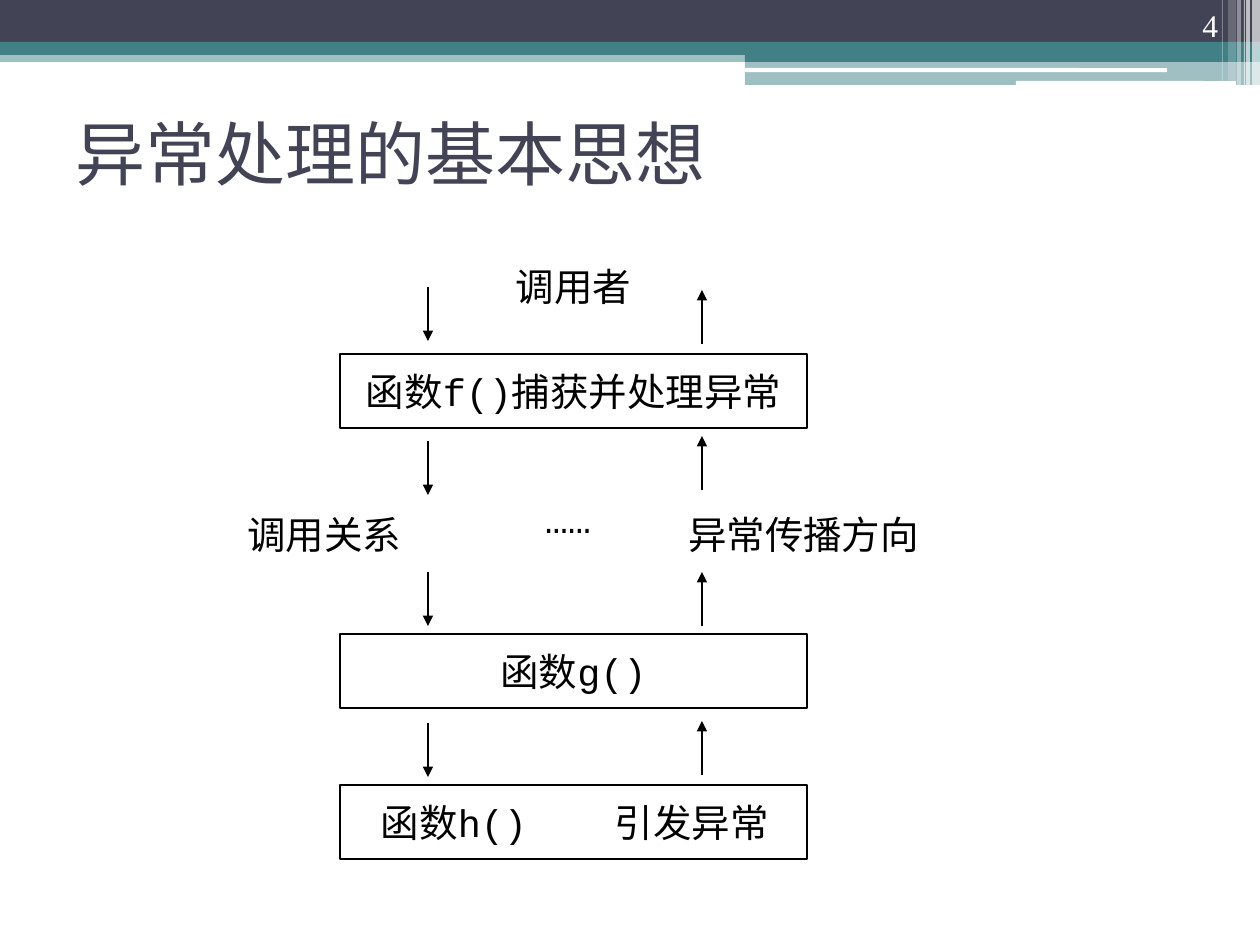
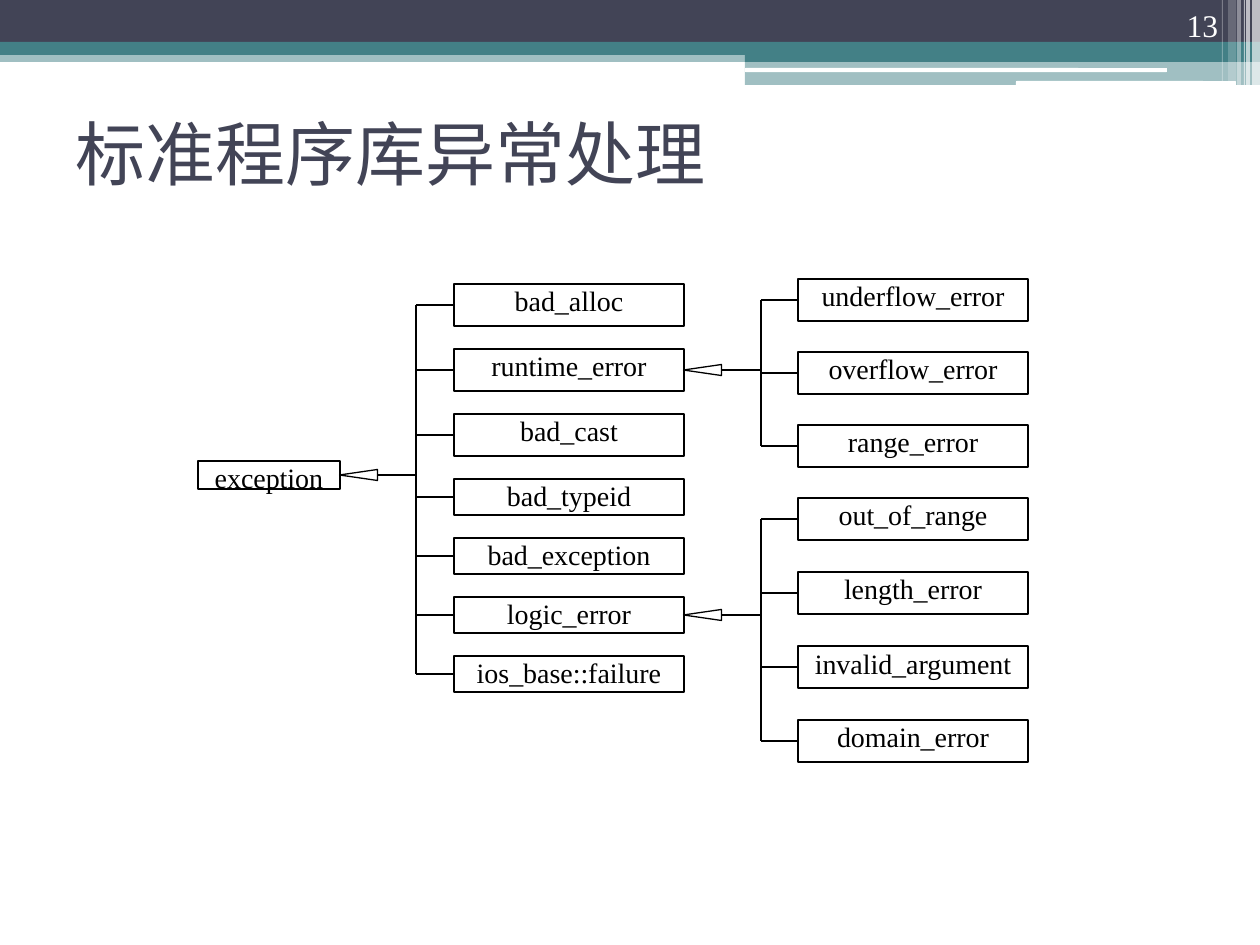
from pptx import Presentation
from pptx.dml.color import RGBColor
from pptx.enum.shapes import MSO_CONNECTOR, MSO_SHAPE
from pptx.enum.text import MSO_ANCHOR, PP_ALIGN
from pptx.oxml.ns import qn
from pptx.util import Emu, Inches, Pt
from lxml import etree

RECT, ROUND = MSO_SHAPE.RECTANGLE, MSO_SHAPE.ROUNDED_RECTANGLE
EXTRACT, LINE = MSO_SHAPE.FLOWCHART_EXTRACT, MSO_CONNECTOR.STRAIGHT
TOP, MIDDLE, BOTTOM = MSO_ANCHOR.TOP, MSO_ANCHOR.MIDDLE, MSO_ANCHOR.BOTTOM
LEFT, CENTER, RIGHT = PP_ALIGN.LEFT, PP_ALIGN.CENTER, PP_ALIGN.RIGHT

COLORS = {"navy": "424456", "teal": "438086", "white": "FFFFFF", "black": "000000"}
HEAD, CODE, BODY = "Cabin", "Courier New", "Times New Roman"
THIN = Pt(0.75)

# shape, left, top, width, height, colour, opacity in percent
BANDS = [
    (RECT, 0, 51, 1260, 11, "teal", 50),
    (RECT, 0, 0, 1260, 42, "navy", 100),
    (RECT, 0, 42, 1260, 13, "teal", 100),
    (RECT, 745, 49, 515, 13, "teal", 100),
    (RECT, 745, 62, 515, 23, "teal", 50),
    (ROUND, 745, 68, 422, 4, "white", 100),
    (ROUND, 1016, 81, 220, 5, "white", 100),
    (RECT, 1252, 0, 8, 86, "white", 65),
    (RECT, 1246, 0, 4, 86, "white", 65),
    (RECT, 1244, 0, 1, 86, "white", 60),
    (RECT, 1237, 0, 4, 86, "white", 40),
    (RECT, 1228, 0, 8, 81, "white", 20),
    (RECT, 1222, 0, 1, 81, "white", 30),
]


def px(n):
    return Emu(round(n * 914400 / 126))


def rgb(name):
    return RGBColor.from_string(COLORS[name])


def write(shape, text, size, font, color="black", align=CENTER, anchor=MIDDLE,
          pad=(0, 0, 0, 0), tab=None):
    """Fill a shape with one line of text; pad is left, top, right, bottom."""
    frame = shape.text_frame
    frame.word_wrap = True
    frame.vertical_anchor = anchor
    frame.margin_left, frame.margin_top, frame.margin_right, frame.margin_bottom = map(px, pad)
    para = frame.paragraphs[0]
    para.alignment = align
    if tab:
        stops = etree.SubElement(para._p.get_or_add_pPr(), qn("a:tabLst"))
        etree.SubElement(stops, qn("a:tab"), pos=str(px(tab)), algn="l")
    run = para.add_run()
    run.text = text
    run.font.size = Pt(size)
    run.font.name = font
    run.font.color.rgb = rgb(color)


def label(slide, at, text, size, font, **style):
    box = slide.shapes.add_textbox(*map(px, at))
    write(box, text, size, font, **style)


def outline(slide, kind, at):
    shape = slide.shapes.add_shape(kind, *map(px, at))
    shape.shadow.inherit = False
    shape.fill.background()
    shape.line.color.rgb = rgb("black")
    shape.line.width = THIN
    return shape


def line(slide, x1, y1, x2, y2, arrow=False):
    link = slide.shapes.add_connector(LINE, *map(px, (x1, y1, x2, y2)))
    link.line.color.rgb = rgb("black")
    link.line.width = THIN
    if arrow:
        etree.SubElement(link.line._get_or_add_ln(), qn("a:tailEnd"), type="triangle")
    etree.SubElement(link._element.spPr, qn("a:effectLst"))
    return link


def band(slide, kind, left, top, width, height, color, alpha):
    shape = slide.shapes.add_shape(kind, *map(px, (left, top, width, height)))
    shape.shadow.inherit = False
    shape.line.fill.background()
    shape.fill.solid()
    shape.fill.fore_color.rgb = rgb(color)
    if alpha < 100:
        tone = shape._element.spPr.find(qn("a:solidFill"))[0]
        etree.SubElement(tone, qn("a:alpha"), val=str(alpha * 1000))


def page(deck, title, number):
    slide = deck.slides.add_slide(deck.slide_layouts[6])
    for item in BANDS:
        band(slide, *item)
    label(slide, (63, 79, 1134, 147), title, 40, HEAD, color="navy",
          align=LEFT, pad=(13, 6, 13, 6))
    label(slide, (1126, 0, 105, 50), number, 18, BODY, color="white",
          align=RIGHT, anchor=BOTTOM, pad=(13, 6, 13, 6))
    return slide


def node(slide, left, mid, width, height, name):
    """Class box centred on the height mid."""
    box = outline(slide, RECT, (left, mid - height // 2, width, height))
    write(box, name, 16, BODY, anchor=TOP)
    return box


def fan(slide, tip, mid, trunk, left, items):
    """Tie the parent at (tip, mid) to a column of (name, mid, height) children."""
    mark = outline(slide, EXTRACT, (tip + 13, mid - 19, 11, 38))
    mark.rotation = 270
    line(slide, tip + 38, mid, trunk, mid)
    mids = [item[1] for item in items]
    line(slide, trunk, max(mids), trunk, min(mids))
    for name, y, height in items:
        box = node(slide, left, y, 230, height, name)
        line(slide, trunk, y, left, y).end_connect(box, 1)


def column(names, first, step, height):
    return [(name, first + i * step, height) for i, name in enumerate(names)]


def calls(deck):
    slide = page(deck, "异常处理的基本思想", "4")
    for top, text, style in [
        (354, "函数f()捕获并处理异常", {"pad": (12, 0, 12, 0)}),
        (634, "函数g()", {"pad": (12, 0, 12, 0)}),
        (785, "函数h()\t引发异常", {"pad": (41, 0, 12, 0), "align": LEFT, "tab": 234}),
    ]:
        box = outline(slide, RECT, (340, top, 467, 74))
        write(box, text, 22, CODE, **style)
    for down, up in [(287, 290), (441, 436), (572, 572), (723, 721)]:
        line(slide, 428, down, 428, down + 54, arrow=True)
        line(slide, 702, up + 54, 702, up, arrow=True)
    for at, text in [
        ((466, 262, 215, 49), "调用者"),
        ((217, 510, 215, 49), "调用关系"),
        ((365, 490, 406, 57), "……"),
        ((687, 510, 233, 49), "异常传播方向"),
    ]:
        label(slide, at, text, 22, CODE)


def tree(deck):
    slide = page(deck, "标准程序库异常处理", "13")
    node(slide, 198, 475, 142, 28, "exception")
    kinds = column(["bad_alloc", "runtime_error", "bad_cast"], 305, 65, 42)
    kinds += column(["bad_typeid", "bad_exception", "logic_error",
                     "ios_base::failure"], 497, 59, 36)
    runs = column(["underflow_error", "overflow_error", "range_error"], 300, 73, 42)
    logic = column(["out_of_range", "length_error", "invalid_argument",
                    "domain_error"], 519, 74, 42)
    fan(slide, 340, 475, 416, 454, kinds)
    fan(slide, 684, 370, 761, 798, runs)
    fan(slide, 684, 615, 761, 798, logic)


def main():
    deck = Presentation()
    deck.slide_width, deck.slide_height = Inches(10), Inches(7.5)
    calls(deck)
    tree(deck)
    deck.save("out.pptx")


if __name__ == "__main__":
    main()
